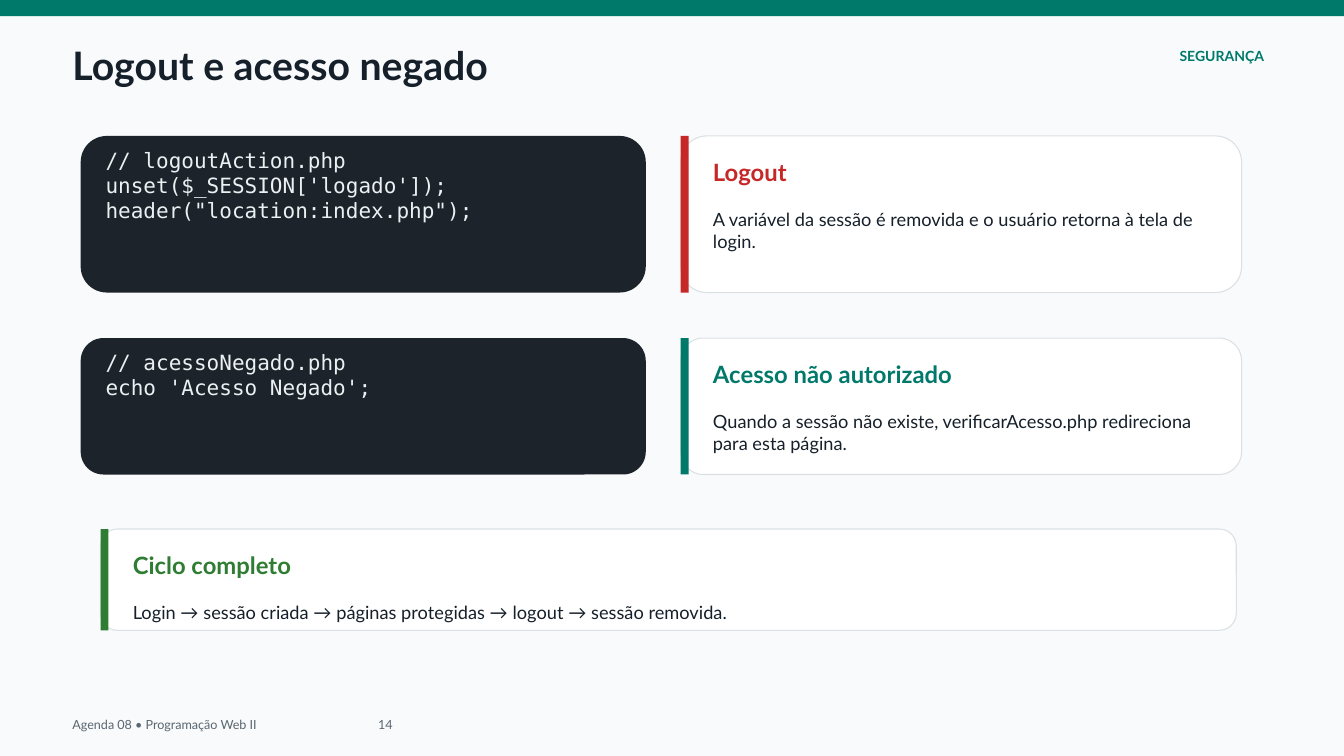
from dataclasses import dataclass

from lxml import etree
from pptx import Presentation
from pptx.dml.color import RGBColor
from pptx.enum.shapes import MSO_SHAPE
from pptx.enum.text import MSO_ANCHOR, MSO_AUTO_SIZE, PP_ALIGN
from pptx.oxml.ns import qn
from pptx.util import Cm, Pt

RECT, ROUNDED = MSO_SHAPE.RECTANGLE, MSO_SHAPE.ROUNDED_RECTANGLE
LEFT, RIGHT = PP_ALIGN.LEFT, PP_ALIGN.RIGHT
TOP = MSO_ANCHOR.TOP
NO_FIT = MSO_AUTO_SIZE.NONE
SANS, MONO = "Lato", "DejaVu Sans Mono"
TITLE_ONLY = 5

COLORS = {
    "page": "F8FAFC", "teal": "00796B", "red": "C62828", "green": "2E7D32",
    "ink": "16202A", "muted": "5A6670", "white": "FFFFFF", "border": "DAE1E4",
    "code_bg": "1D232A", "code_ink": "EBF0F2",
}


@dataclass
class Box:
    """Place and size in centimetres."""
    x: float
    y: float
    w: float
    h: float


@dataclass
class Style:
    size: float
    color: str
    bold: bool = False
    font: str = SANS


@dataclass
class Code:
    box: Box
    lines: list[str]


@dataclass
class Card:
    box: Box
    accent: str
    heading: str
    body: str


def rgb(name: str) -> RGBColor:
    return RGBColor.from_string(COLORS[name])


def place(sp, box: Box) -> None:
    sp.left, sp.top, sp.width, sp.height = Cm(box.x), Cm(box.y), Cm(box.w), Cm(box.h)


def fill_text(sp, lines: list[str], style: Style, align=LEFT, tab: float = 0) -> None:
    """Write one paragraph per line, with an optional tab stop in centimetres."""
    tf = sp.text_frame
    tf.word_wrap = True
    tf.auto_size = NO_FIT
    tf.vertical_anchor = TOP
    tf.margin_left = tf.margin_right = tf.margin_top = tf.margin_bottom = 0
    tf.text = "\n".join(lines)
    for p in tf.paragraphs:
        p.alignment = align
        p.line_spacing = Pt(style.size * 1.2)
        if tab:
            tabs = etree.SubElement(p._p.get_or_add_pPr(), qn("a:tabLst"))
            etree.SubElement(tabs, qn("a:tab"), pos=str(Cm(tab)), algn="l")
        p.font.name = style.font
        p.font.size = Pt(style.size)
        p.font.bold = style.bold
        p.font.color.rgb = rgb(style.color)


def add_text(s, box: Box, lines: list[str], style: Style, align=LEFT, tab: float = 0) -> None:
    sp = s.shapes.add_textbox(0, 0, 0, 0)
    place(sp, box)
    fill_text(sp, lines, style, align, tab)


def add_block(s, kind, box: Box, fill: str, border: str = "") -> None:
    sp = s.shapes.add_shape(kind, 0, 0, 0, 0)
    place(sp, box)
    sp.shadow.inherit = False
    sp.fill.solid()
    sp.fill.fore_color.rgb = rgb(fill)
    if border:
        sp.line.color.rgb = rgb(border)
        sp.line.width = Pt(1.13)
    else:
        sp.line.fill.background()


def add_code(s, code: Code) -> None:
    b = code.box
    add_block(s, ROUNDED, b, "code_bg")
    add_text(s, Box(b.x + 0.94, b.y + 0.42, b.w - 1.88, b.h - 1),
             code.lines, Style(22.5, "code_ink", font=MONO))


def add_card(s, card: Card) -> None:
    b = card.box
    add_block(s, ROUNDED, b, "white", "border")
    add_block(s, RECT, Box(b.x, b.y, 0.3, b.h), card.accent)
    x, w = b.x + 1.22, b.w - 2.26
    add_text(s, Box(x, b.y + 0.82, w, 1.35), [card.heading], Style(25.5, card.accent, True))
    add_text(s, Box(x, b.y + 2.73, w, b.h - 3.4), [card.body], Style(19.5, "ink"))


CODE_X, CODE_W = 3.05, 21.36
CARD_X, CARD_W = 25.73, 21.2
ROW_1, ROW_1_H = 5.14, 5.92
ROW_2, ROW_2_H = 12.78, 5.16

CODES = [
    Code(Box(CODE_X, ROW_1, CODE_W, ROW_1_H),
         ["// logoutAction.php", "unset($_SESSION['logado']);", 'header("location:index.php");']),
    Code(Box(CODE_X, ROW_2, CODE_W, ROW_2_H),
         ["// acessoNegado.php", "echo 'Acesso Negado';"]),
]
CARDS = [
    Card(Box(CARD_X, ROW_1, CARD_W, ROW_1_H), "red", "Logout",
         "A variável da sessão é removida e o usuário retorna à tela de login."),
    Card(Box(CARD_X, ROW_2, CARD_W, ROW_2_H), "teal", "Acesso não autorizado",
         "Quando a sessão não existe, verificarAcesso.php redireciona para esta página."),
    Card(Box(3.8, 20, 42.93, 3.83), "green", "Ciclo completo",
         "Login → sessão criada → páginas protegidas → logout → sessão removida."),
]


def main() -> None:
    prs = Presentation()
    prs.slide_width, prs.slide_height = Cm(50.8), Cm(28.58)
    s = prs.slides.add_slide(prs.slide_layouts[TITLE_ONLY])
    s.background.fill.solid()
    s.background.fill.fore_color.rgb = rgb("page")

    add_block(s, RECT, Box(0, 0, 50.8, 0.61), "teal")
    title = s.shapes.title
    place(title, Box(2.74, 1.57, 44.48, 1.85))
    fill_text(title, ["Logout e acesso negado"], Style(42, "ink", True))
    add_text(s, Box(40.28, 1.78, 7.5, 1.09), ["SEGURANÇA"], Style(15, "teal", True), RIGHT)

    for code in CODES:
        add_code(s, code)
    for card in CARDS:
        add_card(s, card)

    add_text(s, Box(2.74, 27.1, 45.24, 0.61), ["Agenda 08 • Programação Web II\t14"],
             Style(13.5, "muted"), tab=11.55)
    prs.save("out.pptx")


if __name__ == "__main__":
    main()
